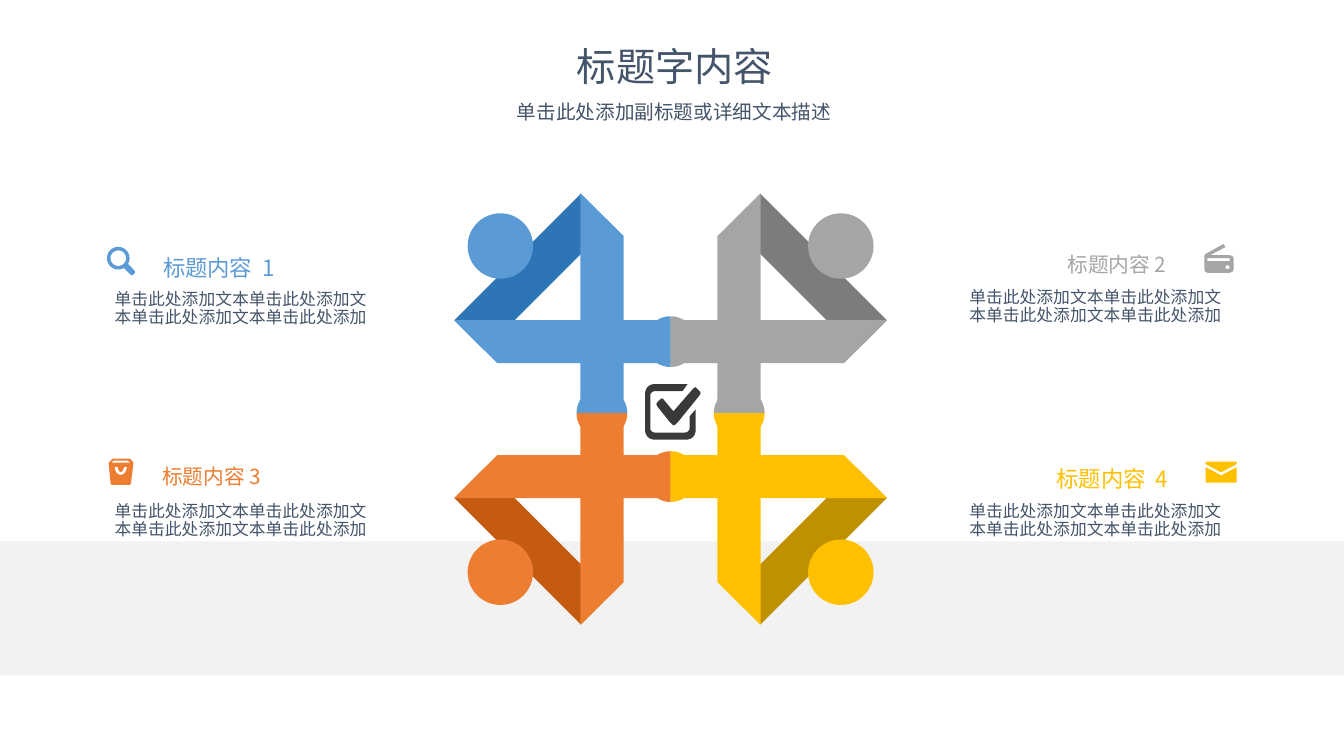
from math import cos, radians, sin

from pptx import Presentation
from pptx.dml.color import RGBColor
from pptx.enum.shapes import MSO_SHAPE as Shape
from pptx.enum.text import PP_ALIGN as Align
from pptx.util import Cm, Pt

NAVY = RGBColor(0x44, 0x54, 0x6A)
PALE = RGBColor(0xF2, 0xF2, 0xF2)
CHARCOAL = RGBColor(0x3B, 0x38, 0x38)
BLUE = RGBColor(0x5B, 0x9B, 0xD5)
DARK_BLUE = RGBColor(0x2E, 0x75, 0xB6)
GREY = RGBColor(0xA5, 0xA5, 0xA5)
DARK_GREY = RGBColor(0x7C, 0x7C, 0x7C)
ORANGE = RGBColor(0xED, 0x7D, 0x31)
DARK_ORANGE = RGBColor(0xC5, 0x5A, 0x11)
GOLD = RGBColor(0xFF, 0xC0, 0x00)
DARK_GOLD = RGBColor(0xBF, 0x90, 0x00)

CENTER_X, CENTER_Y = 16.9, 10.31
SEAM = 0.1  # the upper and lower colours meet this far below the centre
KNOB = 0.64
DISC = 1.65
ICON_UNIT = 0.0254
BODY = "单击此处添加文本" * 3 + "单击此处添加"


def arc(x, y, radius, start, end, radius_y=None, steps=24):
    """Return points along an arc, with angles in degrees clockwise from the right."""
    angles = [radians(start + (end - start) * i / steps) for i in range(steps + 1)]
    return [(x + radius * cos(a), y + (radius_y or radius) * sin(a)) for a in angles]


MAGNIFIER = [
    arc(11.5, 11.25, 11.25, 30, -300) + [(24, 28), (26, 28), (28, 26), (28, 24)],
    arc(11.5, 11.25, 7.75, 0, 360),
]
BAG = [
    [(0, 4), (4, 0), (21, 0), (24.5, 3.5), (24.5, 5), (22, 25), (21, 26), (3, 26),
     (2, 25), (0, 5)],
    [(2, 4), (5, 2), (19, 2), (22, 4)],
    arc(12, 8, 6, 180, 0, 8) + arc(12, 8, 3, 0, 180, 5),
]
RADIO = [
    [(0, 12), (1, 10), (19, 0), (21, 3), (6, 11), (25, 11), (28, 12), (29, 14),
     (29, 25), (28, 27.5), (25, 28.5), (3, 28.5), (1, 27.5), (0, 25)],
    [(3, 14), (25, 14), (25, 17), (3, 17)],
    arc(23, 23, 2, 0, 360),
]
ENVELOPE = [
    [(0, 6), (1, 6), (14, 13), (15.5, 14), (17, 13), (30, 6), (31, 6), (31, 20),
     (30, 21), (1, 21), (0, 20)],
    [(0, 0), (31, 0), (31, 2), (30, 3), (17, 10), (15.5, 10.5), (14, 10), (1, 3),
     (0, 2)],
]
CHECKBOX = [
    [(44, 32), (50, 25)] + arc(41, 46, 9, 0, 90) + arc(9, 46, 9, 90, 180)
    + arc(9, 9, 9, 180, 270) + [(42, 0), (37, 7)] + arc(9.5, 11.5, 4.5, 270, 180)
    + arc(9.5, 43.5, 4.5, 180, 90) + arc(39.5, 43.5, 4.5, 90, 0),
    [(54, 7), (55, 9), (54, 11), (33, 37), (30, 40), (28, 41), (27, 40), (24, 37),
     (12, 22), (11, 20), (12, 18), (15, 15), (17, 14), (18, 15), (28, 27), (48, 4),
     (50, 3), (51, 4)],
]

# colour, dark colour, horizontal side, vertical side
ARMS = [
    (BLUE, DARK_BLUE, -1, -1),
    (GREY, DARK_GREY, 1, -1),
    (ORANGE, DARK_ORANGE, -1, 1),
    (GOLD, DARK_GOLD, 1, 1),
]

# heading, size, line spacing, colour, heading place, body place, icon, icon place
TOPICS = [
    ("标题内容  1", 16, 0.9, BLUE, (3.86, 6.35), (2.64, 7.21), MAGNIFIER, (2.69, 6.22)),
    ("标题内容 2", 14.8, 0.8, GREY, (21.46, 6.35), (24.18, 7.16), RADIO, (30.35, 6.15)),
    ("标题内容 3", 14.8, 0.8, ORANGE, (3.84, 11.68), (2.64, 12.55), BAG, (2.74, 11.56)),
    ("标题内容  4", 16, 0.9, GOLD, (21.51, 11.68), (24.18, 12.55), ENVELOPE, (30.38, 11.63)),
]


class Painter:
    font = "Noto Sans CJK SC"

    def __init__(self, page):
        self.page = page

    def finish(self, shape, color):
        shape.shadow.inherit = False
        shape.fill.solid()
        shape.fill.fore_color.rgb = color
        shape.line.fill.background()

    def preset(self, kind, left, top, width, height, color):
        box = self.page.shapes.add_shape(kind, Cm(left), Cm(top), Cm(width), Cm(height))
        self.finish(box, color)

    def outline(self, contours, color):
        """Fill closed contours, given in centimetres, as one shape."""
        contours = [[(Cm(x), Cm(y)) for x, y in contour] for contour in contours]
        builder = self.page.shapes.build_freeform(*contours[0][0])
        for contour in contours:
            builder.move_to(*contour[0])
            builder.add_line_segments(contour[1:], close=True)
        self.finish(builder.convert_to_shape(), color)

    def icon(self, contours, left, top, color):
        self.outline([[(left + x * ICON_UNIT, top + y * ICON_UNIT) for x, y in contour]
                      for contour in contours], color)

    def text(self, words, left, top, width, height, size, color=NAVY,
             align=Align.LEFT, spacing=None, wrap=True):
        box = self.page.shapes.add_textbox(Cm(left), Cm(top), Cm(width), Cm(height))
        box.text_frame.word_wrap = wrap
        box.text_frame.text = words
        para = box.text_frame.paragraphs[0]
        para.alignment = align
        para.line_spacing = spacing
        span = para.runs[0]
        span.font.name = self.font
        span.font.size = Pt(size)
        span.font.color.rgb = color


def draw_arms(painter):
    """Draw four mirrored arms, layer by layer."""
    def mirrored(points, side, level):
        return [[(CENTER_X + side * x, CENTER_Y + level * y) for x, y in points]]

    for _, dark, side, level in ARMS:
        band = [(5.45, 2.24), (2.27, 5.42), (1.51, 4.66), (4.69, 1.48)]
        painter.outline(mirrored(band, side, level), dark)
    for color, _, side, level in ARMS:
        seam = level * SEAM
        upright = [(2.27, 5.44), (1.18, 4.36), (1.18, seam), (2.27, seam)]
        beam = [(5.45, 2.24), (0, 2.24), (0, 1.16), (4.37, 1.16)]
        beam_knob = arc(0, 1.7, KNOB, -90, 90)
        upright_knob = arc(1.73, seam, KNOB, 0, 180)
        for points in (upright, beam, beam_knob, upright_knob):
            painter.outline(mirrored(points, side, level), color)
        painter.preset(Shape.OVAL, CENTER_X + side * 4.29 - DISC / 2,
                       CENTER_Y + level * 4.11 - DISC / 2, DISC, DISC, color)


def main():
    deck = Presentation()
    deck.slide_width, deck.slide_height = Cm(33.87), Cm(19.05)
    painter = Painter(deck.slides.add_slide(deck.slide_layouts[6]))

    painter.text("标题字内容", 14.25, 0.94, 5.51, 1.45, 28, align=Align.CENTER, wrap=False)
    painter.text("单击此处添加副标题或详细文本描述", 12.75, 2.39, 8.48, 0.86, 14,
                 align=Align.CENTER, wrap=False)
    painter.preset(Shape.RECTANGLE, 0, 13.64, 33.87, 3.38, PALE)

    for heading, size, spacing, color, heading_at, body_at, icon, icon_at in TOPICS:
        align = Align.LEFT if heading_at[0] < CENTER_X else Align.RIGHT
        painter.text(heading, *heading_at, 8.18, 0.81, size, color, align, spacing)
        painter.text(BODY, *body_at, 6.99, 2.62, 12, spacing=0.9)
        painter.icon(icon, *icon_at, color)

    draw_arms(painter)
    painter.icon(CHECKBOX, 16.26, 9.68, CHARCOAL)
    deck.save("out.pptx")


if __name__ == "__main__":
    main()
